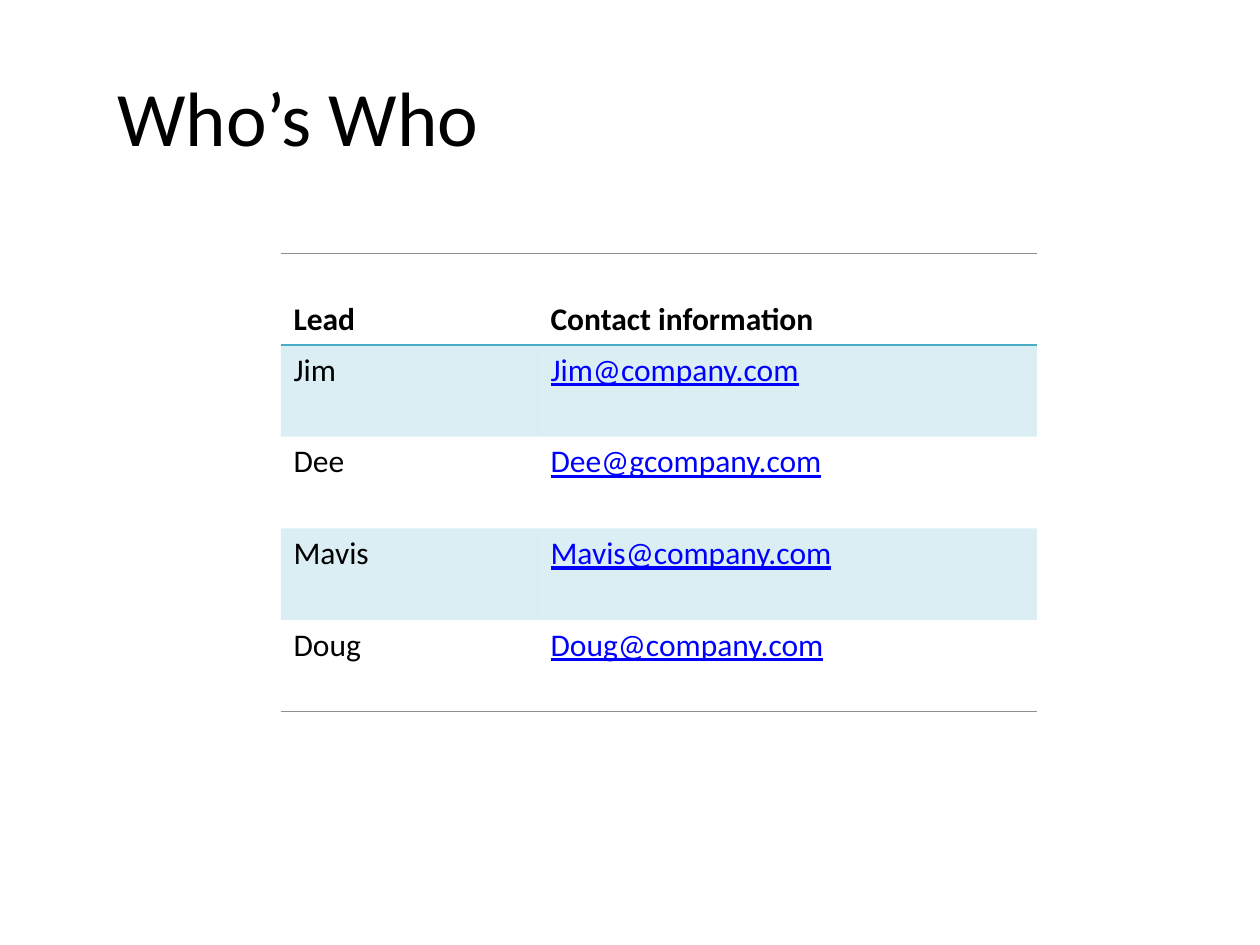
from lxml.etree import SubElement
from pptx import Presentation
from pptx.dml.color import RGBColor as RGB
from pptx.enum.text import MSO_ANCHOR as Anchor, PP_ALIGN as Align
from pptx.oxml.ns import qn
from pptx.util import Inches, Pt

HUES = {"text": "000000", "link": "0000FF", "band": "4BACC6", "rule": "8E8E8E"}
PEOPLE = [
    ("Lead", "Contact information"),
    ("Jim", "Jim@company.com"),
    ("Dee", "Dee@gcompany.com"),
    ("Mavis", "Mavis@company.com"),
    ("Doug", "Doug@company.com"),
]


def add_run(para, text, size, hue="text", bold=False, under=False):
    """Add one styled run to a paragraph."""
    run = para.add_run()
    run.text = text
    font = run.font
    font.name, font.size = "Calibri", Pt(size)
    font.bold, font.underline = bold, under
    font.color.rgb = RGB.from_string(HUES[hue])


def set_edges(cell, edges):
    """Draw the named edges of a cell and clear the others."""
    props = cell._tc.get_or_add_tcPr()
    for side in "LRTB":
        hue, width = edges.get(side, (None, 0))
        line = SubElement(props, qn(f"a:ln{side}"), w=str(Pt(width)))
        if hue:
            fill = SubElement(line, qn("a:solidFill"))
            SubElement(fill, qn("a:srgbClr"), val=HUES[hue])
        else:
            SubElement(line, qn("a:noFill"))


def set_fill(cell, band):
    """Give a cell a pale band or no fill."""
    if not band:
        cell.fill.background()
        return
    cell.fill.solid()
    cell.fill.fore_color.rgb = RGB.from_string(HUES["band"])
    tone = cell._tc.tcPr.find(f"{qn('a:solidFill')}/{qn('a:srgbClr')}")
    SubElement(tone, qn("a:alpha"), val="20000")


def add_title(slide, text, left, top, width, height):
    """Place the slide title in its box."""
    title = slide.shapes.title
    title.left, title.top = Inches(left), Inches(top)
    title.width, title.height = Inches(width), Inches(height)
    frame = title.text_frame
    frame.vertical_anchor = Anchor.MIDDLE
    para = frame.paragraphs[0]
    para.alignment = Align.LEFT
    add_run(para, text, 44)


def add_people(slide, rows, left, top, width, height):
    """Place the table of leads and their contacts in its box."""
    box = [Inches(n) for n in (left, top, width, height)]
    table = slide.shapes.add_table(len(rows), 2, *box).table
    table.first_row = table.horz_banding = False
    for col, share in zip(table.columns, (0.34, 0.66)):
        col.width = Inches(width * share)
    last = len(rows) - 1
    for i, row in enumerate(rows):
        head = i == 0
        edges = {}
        if head:
            edges = {"T": ("rule", 0.5), "B": ("band", 1)}
        elif i == 1:
            edges = {"T": ("band", 1)}
        elif i == last:
            edges = {"B": ("rule", 0.5)}
        for j, text in enumerate(row):
            cell = table.cell(i, j)
            cell.vertical_anchor = Anchor.BOTTOM if head else Anchor.TOP
            link = j == 1 and not head
            add_run(cell.text_frame.paragraphs[0], text, 18,
                    "link" if link else "text", head, link)
            set_edges(cell, edges)
            set_fill(cell, i % 2 == 1)


def main():
    """Build and save the slide."""
    deck = Presentation()
    deck.slide_width, deck.slide_height = Inches(10), Inches(7.5)
    slide = deck.slides.add_slide(deck.slide_layouts[5])
    add_title(slide, "Who’s Who", 0.83, 0.29, 8.83, 1.25)
    add_people(slide, PEOPLE, 2.23, 2.01, 6, 3.64)
    deck.save("out.pptx")


if __name__ == "__main__":
    main()
